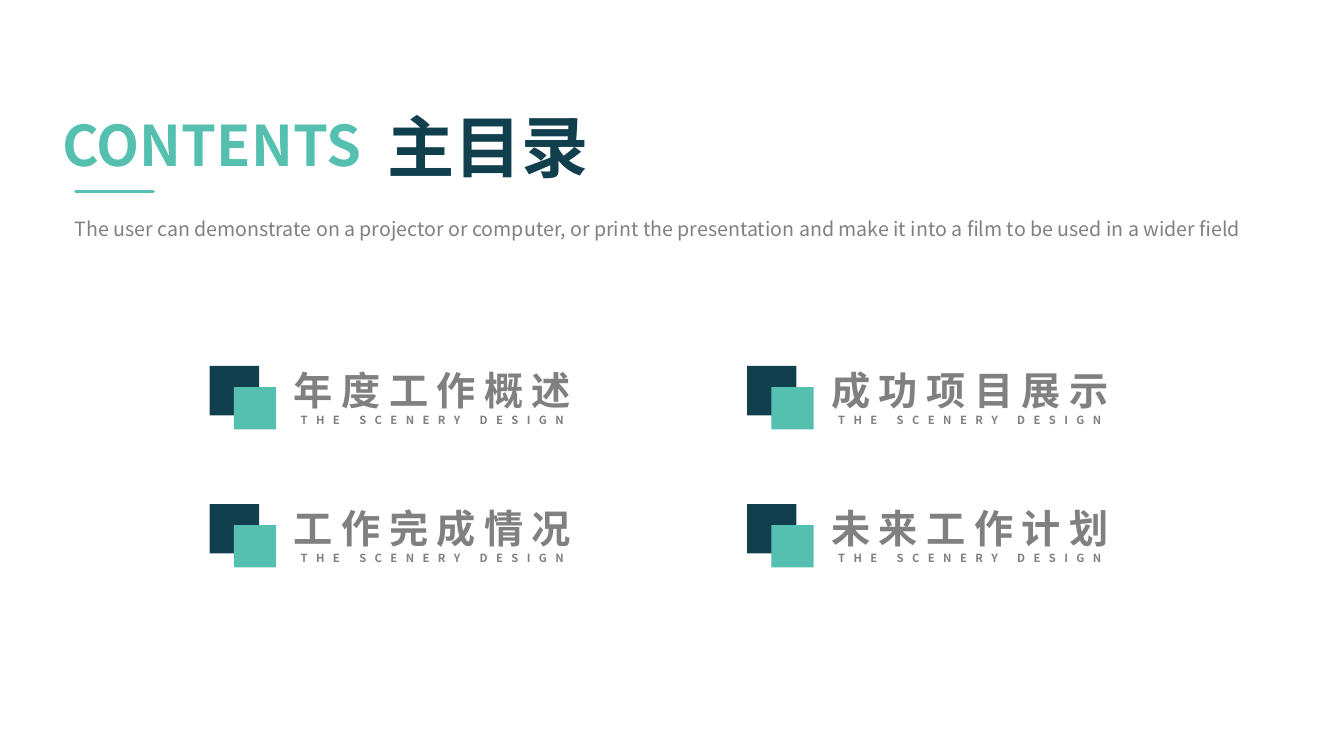
"""Build a contents slide with a heading and four section entries."""
from dataclasses import dataclass

from lxml.etree import SubElement
from pptx import Presentation
from pptx.dml.color import RGBColor
from pptx.enum.shapes import MSO_CONNECTOR, MSO_SHAPE
from pptx.enum.text import MSO_AUTO_SIZE, PP_ALIGN
from pptx.oxml.ns import qn
from pptx.shapes.group import GroupShape
from pptx.slide import Slide
from pptx.util import Inches, Pt

FONT = "Noto Sans CJK SC"
NAVY, TEAL, GRAY = "113F4E", "55C0AF", "808080"
COLUMN_LEFT, COLUMN_STEP = 2.08, 5.33
ROW_TOP, ROW_STEP = 3.58, 1.37
COLUMN_COUNT = 2
SECTIONS = ("年度工作概述", "成功项目展示", "工作完成情况", "未来工作计划")
CAPTION = "THE SCENERY DESIGN"


@dataclass(frozen=True)
class Line:
    text: str
    size: float
    color: str
    bold: bool = True
    spacing: int = 0


@dataclass(frozen=True)
class TextBlock:
    left: float
    top: float
    width: float
    height: float
    lines: tuple[Line, ...]
    align: PP_ALIGN = PP_ALIGN.LEFT
    wrap: bool = False


@dataclass(frozen=True)
class Square:
    left: float
    top: float
    side: float
    color: str


HEADING = (
    TextBlock(3.74, 1, 2.22, 0.91, (Line("主目录", 48, NAVY),)),
    TextBlock(0.64, 2.1, 12.19, 0.57, (Line(
        "The user can demonstrate on a projector or computer, or print the "
        "presentation and make it into a film to be used in a wider field",
        14, GRAY, bold=False),), wrap=True),
    TextBlock(0.43, 1.05, 3.34, 0.77, (Line("CONTENTS", 40, TEAL),), PP_ALIGN.CENTER),
)
ICON = (Square(0, 0.05, 0.49, NAVY), Square(0.24, 0.26, 0.42, TEAL))


def rgb(color: str) -> RGBColor:
    """Return the colour for a hex string."""
    return RGBColor.from_string(color)


def add_text(parent: Slide | GroupShape, block: TextBlock) -> None:
    """Draw a text block with one paragraph per line."""
    shape = parent.shapes.add_textbox(
        Inches(block.left), Inches(block.top), Inches(block.width), Inches(block.height))
    frame = shape.text_frame
    frame.word_wrap = block.wrap
    frame.auto_size = MSO_AUTO_SIZE.SHAPE_TO_FIT_TEXT
    for index, line in enumerate(block.lines):
        paragraph = frame.add_paragraph() if index else frame.paragraphs[0]
        paragraph.alignment = block.align
        run = paragraph.add_run()
        run.text = line.text
        font_format = {"name": FONT, "size": Pt(line.size), "bold": line.bold}
        for name, value in font_format.items():
            setattr(run.font, name, value)
        run.font.color.rgb = rgb(line.color)
        properties = run._r.get_or_add_rPr()
        SubElement(properties, qn("a:ea"), typeface=FONT)
        if line.spacing:
            properties.set("spc", str(line.spacing * 100))


def add_square(group: GroupShape, square: Square, left: float, top: float) -> None:
    """Draw a filled square relative to its entry's corner."""
    shape = group.shapes.add_shape(
        MSO_SHAPE.RECTANGLE, Inches(left + square.left), Inches(top + square.top),
        Inches(square.side), Inches(square.side))
    shape.shadow.inherit = False
    shape.fill.solid()
    shape.fill.fore_color.rgb = rgb(square.color)
    shape.line.fill.background()


def add_section(slide: Slide, title: str, left: float, top: float) -> None:
    """Draw one contents entry as a group of text and icon."""
    group = slide.shapes.add_group_shape()
    lines = (Line(title, 28, GRAY, spacing=6), Line(CAPTION, 8, GRAY, spacing=6))
    add_text(group, TextBlock(left + 0.68, top, 3.06, 0.71, lines, PP_ALIGN.CENTER))
    for square in ICON:
        add_square(group, square, left, top)


def add_underline(slide: Slide) -> None:
    """Draw the short rule under the heading."""
    connector = slide.shapes.add_connector(
        MSO_CONNECTOR.STRAIGHT, Inches(0.75), Inches(1.9), Inches(1.52), Inches(1.9))
    connector.line.color.rgb = rgb(TEAL)
    connector.line.width = Pt(2.25)
    connector.line._get_or_add_ln().set("cap", "rnd")
    SubElement(connector._element.spPr, qn("a:effectLst"))


def main() -> None:
    """Build and save the presentation."""
    presentation = Presentation()
    presentation.slide_width, presentation.slide_height = Inches(13.33), Inches(7.5)
    slide = presentation.slides.add_slide(presentation.slide_layouts[6])
    for block in HEADING:
        add_text(slide, block)
    add_underline(slide)
    for index, title in enumerate(SECTIONS):
        row, column = divmod(index, COLUMN_COUNT)
        add_section(slide, title, COLUMN_LEFT + column * COLUMN_STEP, ROW_TOP + row * ROW_STEP)
    presentation.save("out.pptx")


if __name__ == "__main__":
    main()
